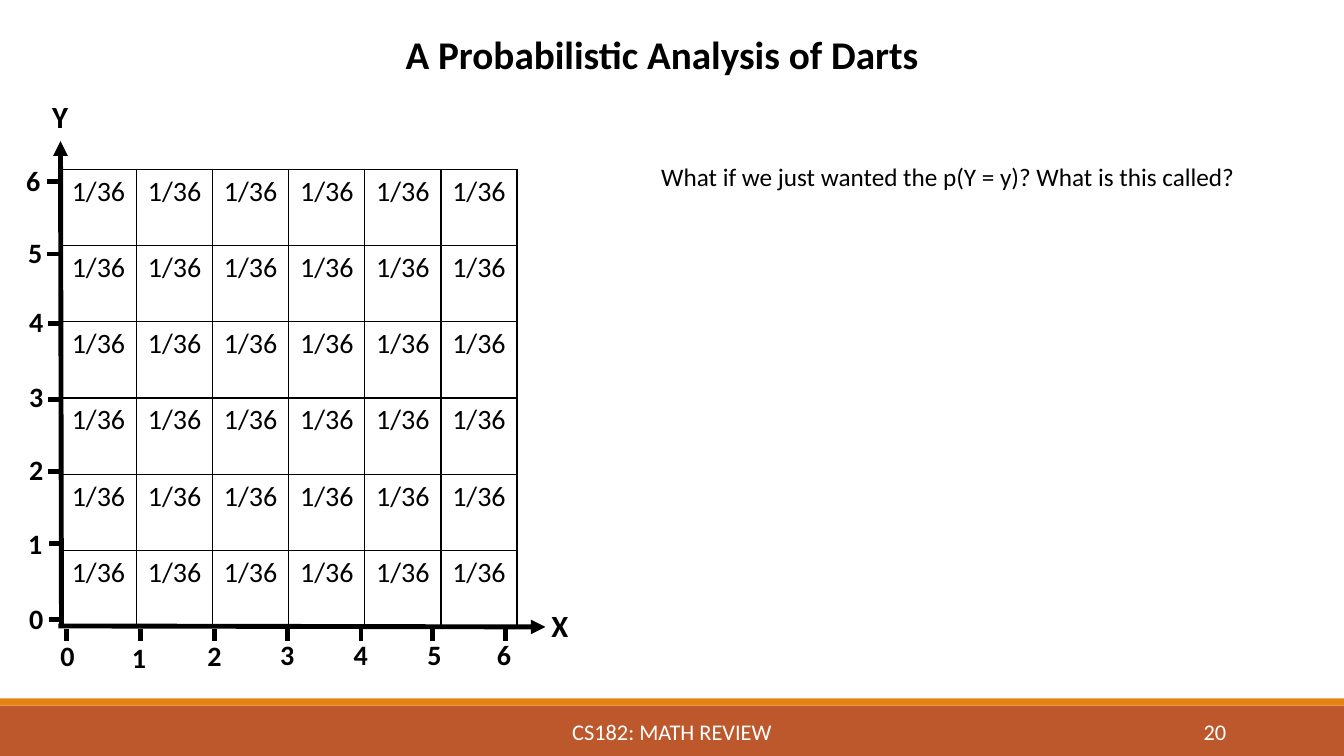
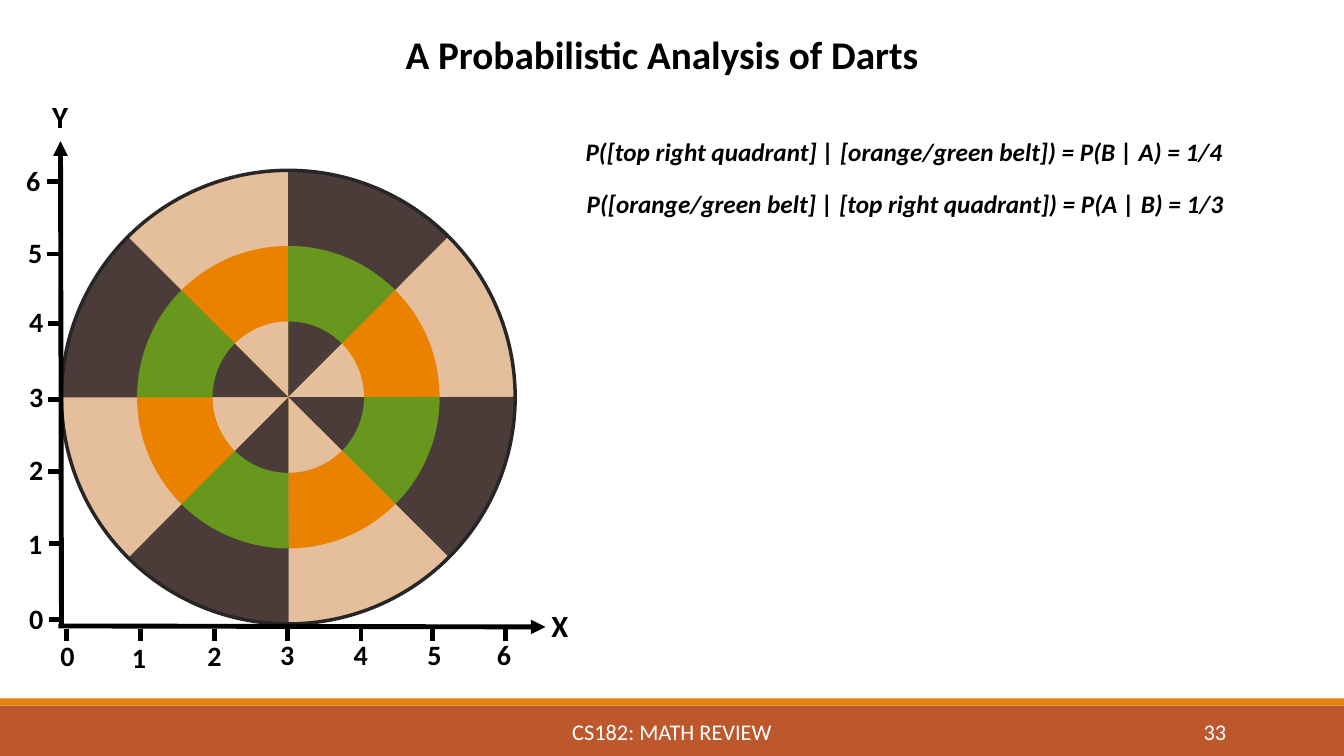
from lxml.etree import SubElement
from pptx import Presentation
from pptx.dml.color import RGBColor
from pptx.enum.shapes import MSO_CONNECTOR, MSO_SHAPE
from pptx.enum.text import MSO_ANCHOR, MSO_AUTO_SIZE, PP_ALIGN
from pptx.oxml.ns import qn
from pptx.util import Inches, Pt

FONT = "Calibri"
BLACK = RGBColor(0x00, 0x00, 0x00)
WHITE = RGBColor(0xFF, 0xFF, 0xFF)
RUST = RGBColor(0xBD, 0x58, 0x2C)
AMBER = RGBColor(0xE4, 0x83, 0x12)
RIM = RGBColor(0x26, 0x26, 0x26)
BROWN = RGBColor(0x4B, 0x3B, 0x39)
TAN = RGBColor(0xE5, 0xBF, 0x9C)
ORANGE = RGBColor(0xEA, 0x82, 0x00)
GREEN = RGBColor(0x67, 0x97, 0x1D)

TITLE = "A Probabilistic Analysis of Darts"
COURSE = "CS182: MATH REVIEW"
BANDS = [(7, 0.5, RUST), (6.93, 0.07, AMBER)]  # top, height, colour

PROBABILITY = "1/36"
GRID_SIZE = 6
QUESTION = "What if we just wanted the p(Y = y)? What is this called?"
CONDITIONALS = [
    (5.71, 1.3, "P([top right quadrant] | [orange/green belt]) = P(B | A) = 1/4"),
    (5.72, 1.82, "P([orange/green belt] | [top right quadrant]) = P(A | B) = 1/3"),
]

BOARD_CENTRE = (2.86, 3.94)
RINGS = [(4.5, TAN, BROWN), (3, ORANGE, GREEN), (1.5, TAN, BROWN)]  # diameter, colours
SECTORS = 8

# For values 0 to 6: tick position, label left, label top
X_SCALE = [(0.66, 0.5, 6.29), (1.39, 1.21, 6.31), (2.13, 1.96, 6.29), (2.85, 2.68, 6.28),
           (3.58, 3.41, 6.28), (4.29, 4.14, 6.28), (5.01, 4.83, 6.28)]
Y_SCALE = [(6.15, 0.19, 5.92), (5.39, 0.18, 5.17), (4.68, 0.19, 4.44), (3.96, 0.19, 3.72),
           (3.21, 0.19, 2.97), (2.52, 0.18, 2.29), (1.8, 0.16, 1.57)]
AXES = [((0.58, 6.21), (5.41, 6.22)), ((0.61, 6.22), (0.6, 1.4))]
AXIS_NAMES = [("X", 5.37, 5.97), ("Y", 0.42, 0.92)]
TICK = 0.12


def add_run(paragraph, text, size, color=BLACK, bold=False, italic=False):
    """Append one formatted run."""
    run = paragraph.add_run()
    run.text = text
    font = run.font
    font.name, font.size, font.bold, font.italic = FONT, Pt(size), bold, italic
    font.color.rgb = color


def add_label(slide, text, box, size, align=PP_ALIGN.LEFT, grow=True, right_inset=0.1, **style):
    """Place one line of text; fixed boxes are centred vertically."""
    label = slide.shapes.add_textbox(*map(Inches, box))
    frame = label.text_frame
    frame.word_wrap = True
    frame.margin_right = Inches(right_inset)
    if grow:
        frame.auto_size = MSO_AUTO_SIZE.SHAPE_TO_FIT_TEXT
    else:
        frame.vertical_anchor = MSO_ANCHOR.MIDDLE
    frame.paragraphs[0].alignment = align
    add_run(frame.paragraphs[0], text, size, **style)


def add_solid(slide, kind, box, color):
    """Place a filled shape without outline."""
    solid = slide.shapes.add_shape(kind, *map(Inches, box))
    solid.shadow.inherit = False
    solid.fill.solid()
    solid.fill.fore_color.rgb = color
    solid.line.fill.background()
    return solid


def add_stroke(slide, start, end, arrow=False):
    """Draw an axis or a tick."""
    stroke = slide.shapes.add_connector(MSO_CONNECTOR.STRAIGHT, *map(Inches, start + end))
    stroke.line.color.rgb = BLACK
    stroke.line.width = Pt(3.5)
    properties = stroke.line.color and stroke._element.spPr
    if arrow:
        SubElement(properties.find(qn("a:ln")), qn("a:tailEnd"), type="triangle")
    SubElement(properties, qn("a:effectLst"))


def add_axes(slide):
    """Draw both axes with ticks, numbers and names."""
    for start, end in AXES:
        add_stroke(slide, start, end, arrow=True)
    for value, (tick, left, top) in enumerate(X_SCALE):
        add_stroke(slide, (tick, 6.24), (tick, 6.24 + TICK))
        add_label(slide, str(value), (left, top, 0.27, 0.44), 20, right_inset=0, bold=True)
    for value, (tick, left, top) in enumerate(Y_SCALE):
        inner = 0.61 if value < 2 else 0.6 if value < 5 else 0.59
        add_stroke(slide, (inner, tick), (inner - TICK, tick))
        add_label(slide, str(value), (left, top, 0.27, 0.44), 20, right_inset=0, bold=True)
    for name, left, top in AXIS_NAMES:
        add_label(slide, name, (left, top, 0.4, 0.47), 22, right_inset=0, bold=True)


def add_border(cell):
    """Give a cell thin black borders on all sides."""
    properties = cell._tc.get_or_add_tcPr()
    for side in ("a:lnL", "a:lnR", "a:lnT", "a:lnB"):
        edge = SubElement(properties, qn(side), w=str(Pt(1)))
        SubElement(SubElement(edge, qn("a:solidFill")), qn("a:srgbClr"), val=str(BLACK))


def add_probability_grid(slide):
    """Build the table of equal joint probabilities."""
    grid = slide.shapes.add_table(GRID_SIZE, GRID_SIZE, Inches(0.6), Inches(1.68),
                                  Inches(4.53), Inches(4.54)).table
    grid.first_row = grid.horz_banding = False
    for cell in grid.iter_cells():
        add_border(cell)
        cell.fill.background()
        paragraph = cell.text_frame.paragraphs[0]
        paragraph.alignment = PP_ALIGN.CENTER
        add_run(paragraph, PROBABILITY, 20)


def board_box(diameter):
    """Return the box of a circle centred on the dartboard."""
    x, y = BOARD_CENTRE
    return x - diameter / 2, y - diameter / 2, diameter, diameter


def add_dartboard(slide):
    """Draw rings of alternating sectors, then the rim."""
    for diameter, *colors in RINGS:
        for sector in range(SECTORS):
            wedge = add_solid(slide, MSO_SHAPE.PIE, board_box(diameter), colors[sector % 2])
            wedge.adjustments[0] = 134.96
            wedge.adjustments[1] = 162
            wedge.rotation = sector * 360 / SECTORS
    rim = slide.shapes.add_shape(MSO_SHAPE.OVAL, *map(Inches, board_box(RINGS[0][0])))
    rim.shadow.inherit = False
    rim.fill.background()
    rim.line.color.rgb = RIM
    rim.line.width = Pt(2.5)


def add_darts_slide(deck, number):
    """Start a slide with the shared bands, footer and title."""
    slide = deck.slides.add_slide(deck.slide_layouts[6])
    for top, height, color in BANDS:
        add_solid(slide, MSO_SHAPE.RECTANGLE, (0, top, 13.33, height), color)
    add_label(slide, COURSE, (4.03, 7.06, 5.27, 0.4), 16, PP_ALIGN.CENTER, grow=False, color=WHITE)
    add_label(slide, str(number), (10.83, 7.06, 1.43, 0.4), 16, PP_ALIGN.RIGHT, grow=False,
              color=WHITE)
    add_label(slide, TITLE, (0.6, 0.25, 11.93, 0.57), 28, PP_ALIGN.CENTER, bold=True)
    return slide


deck = Presentation()
deck.slide_width, deck.slide_height = Inches(13.33), Inches(7.5)

marginal = add_darts_slide(deck, 20)
add_probability_grid(marginal)
add_axes(marginal)
add_label(marginal, QUESTION, (6.46, 1.55, 6.24, 0.4), 18)

conditional = add_darts_slide(deck, 33)
add_dartboard(conditional)
for left, top, statement in CONDITIONALS:
    add_label(conditional, statement, (left, top, 7.16, 0.71), 18, bold=True, italic=True)
add_axes(conditional)

deck.save("out.pptx")
